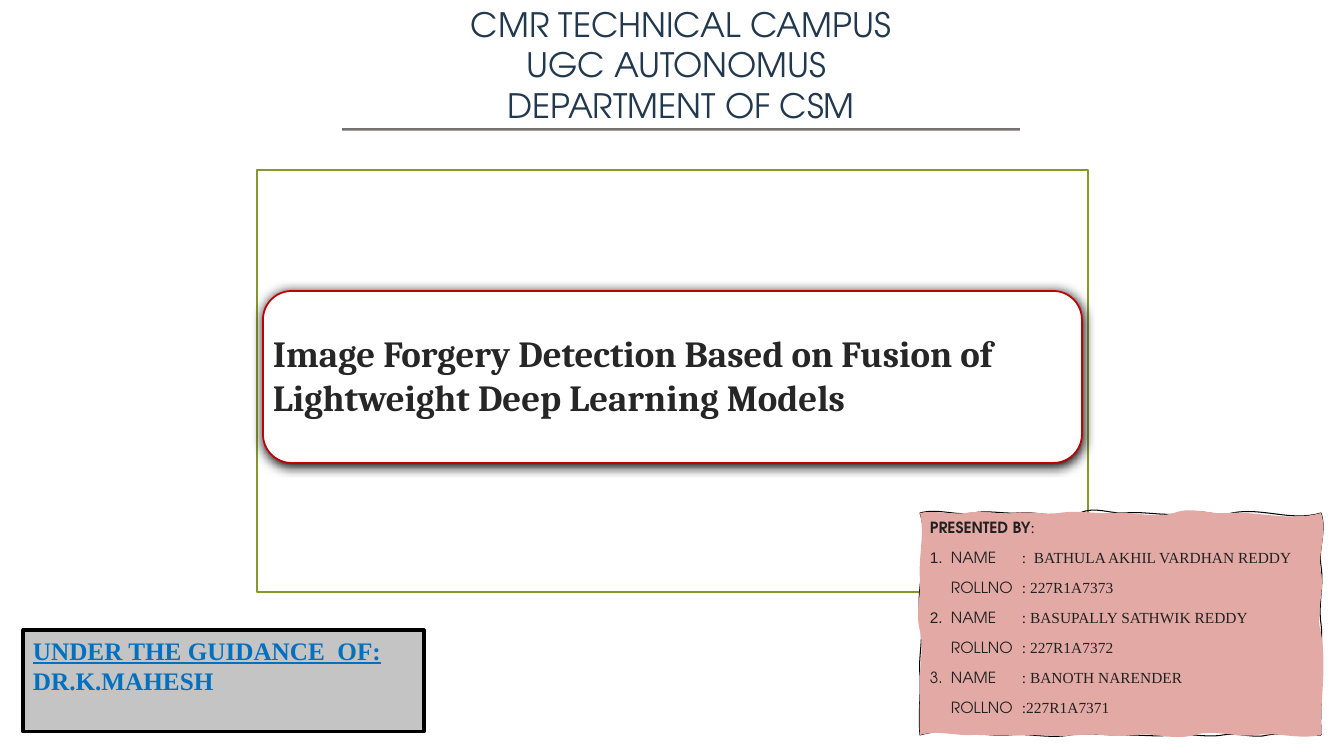
from pptx import Presentation
from pptx.dml.color import RGBColor
from pptx.enum.shapes import MSO_SHAPE
from pptx.enum.text import MSO_ANCHOR, PP_ALIGN
from pptx.oxml import parse_xml
from pptx.oxml.ns import nsdecls
from pptx.util import Pt

PX = 914400 / 100.8  # EMU per px


class Theme:
    heading, serif, title, plain = "TeX Gyre Adventor", "Times New Roman", "Cambria", "Arial"
    white, black, navy, ink, text = "FFFFFF", "000000", "22384E", "262626", "212121"
    olive, red, blue = "83992A", "C00000", "0070C0"
    gray, edge, pink = "C4C4C4", "767171", "E3AAA5"
    heading_pt, title_pt, guide_pt, team_pt = 24, 26.3, 18, 11


# Content
SCHOOL = ["CMR TECHNICAL CAMPUS", "UGC AUTONOMUS ", "DEPARTMENT OF CSM"]
TITLE = "Image Forgery Detection Based on Fusion of Lightweight Deep Learning Models"
GUIDE = ["UNDER THE GUIDANCE  OF:", "DR.K.MAHESH"]
TEAM_HEAD = "PRESENTED BY"
TEAM = [  # number, number font, label, value
    ("1.", Theme.plain, "NAME", ":  BATHULA AKHIL VARDHAN REDDY"),
    ("", Theme.plain, "ROLLNO", ": 227R1A7373"),
    ("2.", Theme.plain, "NAME", ": BASUPALLY SATHWIK REDDY"),
    ("", Theme.plain, "ROLLNO", ": 227R1A7372"),
    ("3.", Theme.heading, "NAME", ": BANOTH NARENDER"),
    ("", Theme.plain, "ROLLNO", ":227R1A7371"),
]
TAB_STOPS = (21, 92)

# Places: left, top, width, height
FRAME = (257, 170, 831, 422)
GUIDE_BOX = (23, 630, 401, 102)
HEADER = (342, 1, 678, 127)
TITLE_CARD = (263, 291, 819, 172)
TITLE_BOX = (263, 212, 819, 301)
LEFT, TOP, RIGHT, BOTTOM = 920, 513, 1321, 735

# Torn-paper edges: each wave is (end along the side, bulge, bulge)
PAPER_LINE = {
    "top": [(973, -5, 3), (1018, -3, 1), (1080, -2, 7), (1125, -7, 1),
            (1186, -2, 4), (1232, -5, 5), (RIGHT, -6, 9)],
    "right": [(566, 6, -3), (624, 3, -3), (675, 2, -1), (BOTTOM, 1, -1)],
    "bottom": [(1268, 2, -3), (1223, 4, -3), (1173, 3, -2), (1128, 2, 0),
               (1070, 1, -3), (1009, 4, -2), (LEFT, 2, -9)],
    "left": [(675, -2, 1), (620, -2, 4), (TOP, -5, 11)],
}
PAPER_FILL = {
    "top": [(966, -3, 2), (1014, -3, 2), (1059, -2, 2), (1113, -3, 1),
            (1174, -2, 6), (1228, -7, 2), (RIGHT, -2, 9)],
    "right": [(573, 7, -4), (633, 4, -6), (BOTTOM, 6, -1)],
    "bottom": [(1256, 5, -3), (1194, 3, -6), (1133, 6, -3), (1080, 3, -2),
               (1022, 2, 0), (973, 1, 0), (LEFT, 1, -5)],
    "left": [(686, -1, 0), (631, -1, 4), (580, -5, 1), (TOP, -2, 5)],
}


def px(n):
    return round(n * PX)


def paint(s, fill=None, line=None, width=1.25):
    s.shadow.inherit = False
    if fill:
        s.fill.solid()
        s.fill.fore_color.rgb = RGBColor.from_string(fill)
    else:
        s.fill.background()
    if line:
        s.line.color.rgb = RGBColor.from_string(line)
        s.line.width = Pt(width)
    else:
        s.line.fill.background()
    return s


def box(kind, place, **look):
    return paint(slide.shapes.add_shape(kind, *map(px, place)), **look)


def cast_shadow(s, color, blur, dist, degrees):
    s._element.spPr.find("{*}effectLst").append(parse_xml(
        f'<a:outerShdw {nsdecls("a")} blurRad="{Pt(blur)}" dist="{Pt(dist)}" '
        f'dir="{degrees * 60000}" algn="tl" rotWithShape="0">'
        f'<a:srgbClr val="{color}"/></a:outerShdw>'))


def style(r, font, size, color, bold=False):
    r.font.name, r.font.size, r.font.bold = font, Pt(size), bold
    r.font.color.rgb = RGBColor.from_string(color)


def write(s, lines, anchor, align, *look, bold=False):
    tf = s.text_frame
    tf.word_wrap, tf.vertical_anchor = True, anchor
    tf.text = "\n".join(lines)
    for p in tf.paragraphs:
        p.alignment = align
        style(p.runs[0], *look, bold=bold)
    return tf


def wavy_path(sides, flag):
    """One closed outline of cubic curves, in px from the paper's corner."""
    def pt(x, y):
        return f'<a:pt x="{round(x - LEFT)}" y="{round(y - TOP)}"/>'

    at = {"top": LEFT, "right": TOP, "bottom": RIGHT, "left": BOTTOM}
    base = {"top": TOP, "right": RIGHT, "bottom": BOTTOM, "left": LEFT}
    curves = ""
    for side, waves in sides.items():
        start = at[side]
        for end, b1, b2 in waves:
            step = (end - start) / 3
            spots = [(start + step, base[side] + b1),
                     (end - step, base[side] + b2), (end, base[side])]
            if side in ("left", "right"):
                spots = [(across, along) for along, across in spots]
            curves += f'<a:cubicBezTo>{"".join(pt(*spot) for spot in spots)}</a:cubicBezTo>'
            start = end
    return parse_xml(
        f'<a:path {nsdecls("a")} w="{RIGHT - LEFT}" h="{BOTTOM - TOP}" {flag}>'
        f'<a:moveTo>{pt(LEFT, TOP)}</a:moveTo>{curves}<a:close/></a:path>')


def torn_paper():
    corners = [(RIGHT, TOP), (RIGHT, BOTTOM), (LEFT, BOTTOM)]
    builder = slide.shapes.build_freeform(px(LEFT), px(TOP))
    builder.add_line_segments([(px(x), px(y)) for x, y in corners], close=True)
    s = builder.convert_to_shape()
    paths = s._element.spPr.find("{*}custGeom/{*}pathLst")
    paths[:] = [wavy_path(PAPER_LINE, 'fill="none"'), wavy_path(PAPER_FILL, 'stroke="0"')]
    return s


prs = Presentation()
prs.slide_width, prs.slide_height = px(1344), px(756)
slide = prs.slides.add_slide(prs.slide_layouts[6])

# Frame and guidance box
box(MSO_SHAPE.RECTANGLE, FRAME, line=Theme.olive)
guide = box(MSO_SHAPE.RECTANGLE, GUIDE_BOX, fill=Theme.gray, line=Theme.black, width=2.25)
tf = write(guide, GUIDE, MSO_ANCHOR.TOP, PP_ALIGN.LEFT,
           Theme.serif, Theme.guide_pt, Theme.blue, bold=True)
tf.paragraphs[0].runs[0].font.underline = True

# Header with a crisp shadow
header = box(MSO_SHAPE.RECTANGLE, HEADER, fill=Theme.white)
cast_shadow(header, Theme.edge, 0, 2, 90)
write(header, SCHOOL, MSO_ANCHOR.MIDDLE, PP_ALIGN.CENTER,
      Theme.heading, Theme.heading_pt, Theme.navy)

# Title card with a soft shadow
card = box(MSO_SHAPE.ROUNDED_RECTANGLE, TITLE_CARD, fill=Theme.white, line=Theme.red)
cast_shadow(card, Theme.black, 8.5, 1, 90)
title = slide.shapes.add_textbox(*map(px, TITLE_BOX))
tf = write(title, [TITLE], MSO_ANCHOR.BOTTOM, PP_ALIGN.LEFT,
           Theme.title, Theme.title_pt, Theme.ink, bold=True)
tf.margin_bottom = px(94)

# Torn paper with the team
paper = paint(torn_paper(), fill=Theme.pink, line=Theme.black, width=0.75)
tf = paper.text_frame
tf.word_wrap, tf.vertical_anchor = True, MSO_ANCHOR.TOP
rows = [[(TEAM_HEAD, Theme.heading, True), (":", Theme.serif, False)]]
rows += [[(f"{number}\t", font, False), (f"{label}\t", Theme.heading, False),
          (value, Theme.serif, False)] for number, font, label, value in TEAM]
stops = "".join(f'<a:tab pos="{px(x)}" algn="l"/>' for x in TAB_STOPS)
for i, row in enumerate(rows):
    p = tf.paragraphs[0] if i == 0 else tf.add_paragraph()
    p.alignment, p.space_after = PP_ALIGN.LEFT, Pt(6)
    if i:
        p.space_before = Pt(2.2)
        p._p.get_or_add_pPr().append(parse_xml(f"<a:tabLst {nsdecls('a')}>{stops}</a:tabLst>"))
    for text, font, bold in row:
        r = p.add_run()
        r.text = text
        style(r, font, Theme.team_pt, Theme.text, bold)

prs.save("out.pptx")
